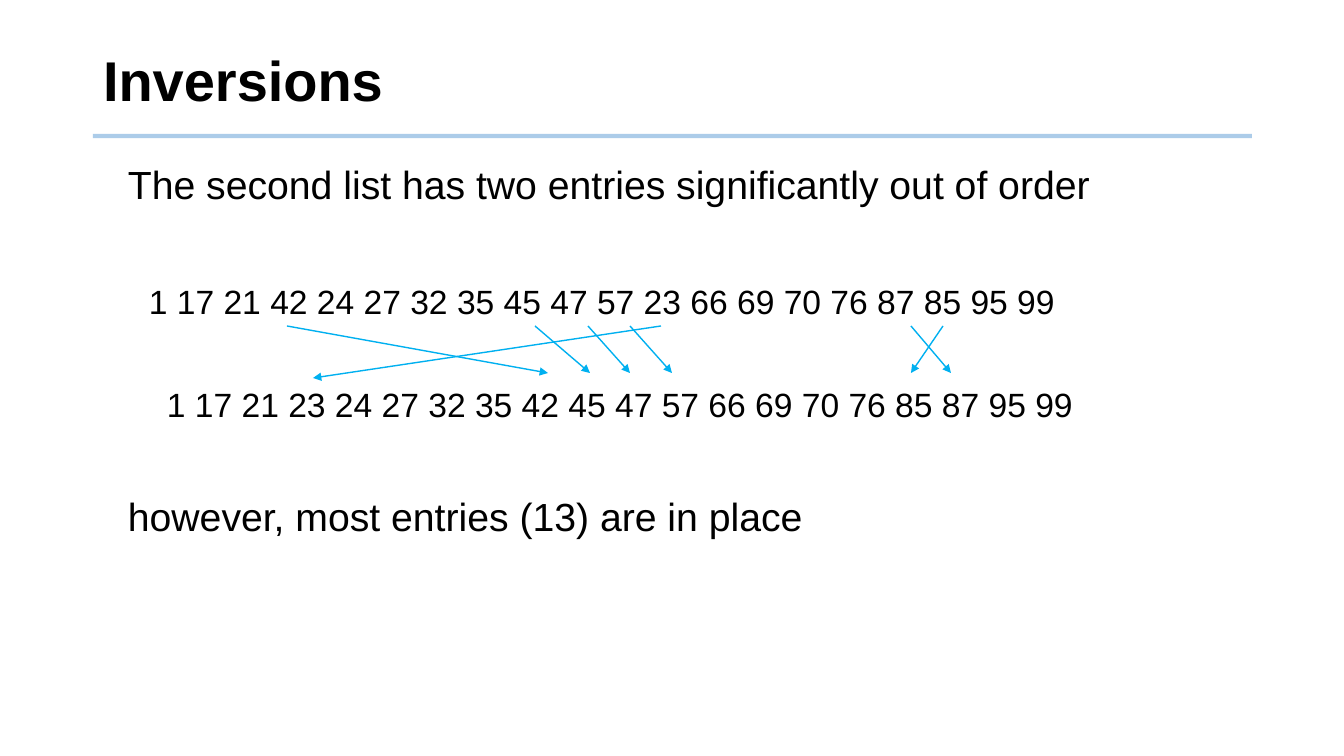
"""Build the slide on inversions between an unsorted and a sorted list."""
from pptx import Presentation
from pptx import util as u
from pptx.dml.color import RGBColor
from pptx.enum import shapes, text
from pptx.oxml.ns import qn
from lxml import etree

TITLE = "Inversions"
LINES = [
    ("The second list has two entries significantly out of order", 28, 25, 0),
    ("1 17 21 42 24 27 32 35 45 47 57 23 66 69 70 76 87 85 95 99", 24, 46, 55),
    ("1 17 21 23 24 27 32 35 42 45 47 57 66 69 70 76 85 87 95 99", 24, 64, 48),
    ("however, most entries (13) are in place", 28, 25, 52),
]
ARROW_TOP, ARROW_END = 326, 373
ARROWS = [
    (588, 630, ARROW_END),
    (287, 548, ARROW_END),
    (661, 313, 378),
    (943, 911, ARROW_END),
    (911, 951, ARROW_END),
    (630, 672, ARROW_END),
    (535, 590, ARROW_END),
]
LEFT, WIDTH, RULE_Y = 93, 1159, 136
TITLE_BOX = (LEFT, 28, WIDTH, 111)
BODY_BOX = (LEFT, 161, WIDTH, 519)
FONT = "Arial"
BLACK = RGBColor(0x00, 0x00, 0x00)
RULE_BLUE = RGBColor(0x5B, 0x9B, 0xD5)
ARROW_BLUE = RGBColor(0x00, 0xB0, 0xF0)


def px(n):
    return u.Emu(round(n * 914400 / 100.8))


def style(p, size, bold=False):
    p.alignment = text.PP_ALIGN.LEFT
    p.line_spacing = 0.9
    for r in p.runs:
        r.font.name, r.font.size, r.font.bold = FONT, u.Pt(size), bold
        r.font.color.rgb = BLACK


def add_line(s, x1, y1, x2, y2, color, width):
    c = s.shapes.add_connector(shapes.MSO_CONNECTOR.STRAIGHT, *map(px, (x1, y1, x2, y2)))
    c.line.color.rgb = color
    c.line.width = u.Pt(width)
    etree.SubElement(c._element.spPr, qn("a:effectLst"))
    return c.line._get_or_add_ln()


def add_title(s):
    sp = s.shapes.title
    sp.left, sp.top, sp.width, sp.height = map(px, TITLE_BOX)
    tf = sp.text_frame
    tf.text = TITLE
    tf.vertical_anchor = text.MSO_ANCHOR.MIDDLE
    style(tf.paragraphs[0], 40, True)


def add_body(s):
    tf = s.shapes.add_textbox(*map(px, BODY_BOX)).text_frame
    tf.word_wrap = True
    for i, (line, size, indent, before) in enumerate(LINES):
        p = tf.add_paragraph() if i else tf.paragraphs[0]
        p.text = line
        p.space_before = u.Pt(before)
        p._p.get_or_add_pPr().set("marL", str(px(indent)))
        style(p, size)


def main():
    prs = Presentation()
    prs.slide_width, prs.slide_height = px(1344), px(756)
    s = prs.slides.add_slide(prs.slide_layouts[5])
    ln = add_line(s, LEFT, RULE_Y, LEFT + WIDTH, RULE_Y, RULE_BLUE, 3)
    etree.SubElement(ln.find(".//" + qn("a:srgbClr")), qn("a:alpha"), val="50000")
    add_title(s)
    add_body(s)
    for x1, x2, y2 in ARROWS:
        ln = add_line(s, x1, ARROW_TOP, x2, y2, ARROW_BLUE, 1)
        etree.SubElement(ln, qn("a:tailEnd"), type="triangle")
    prs.save("out.pptx")


if __name__ == "__main__":
    main()
